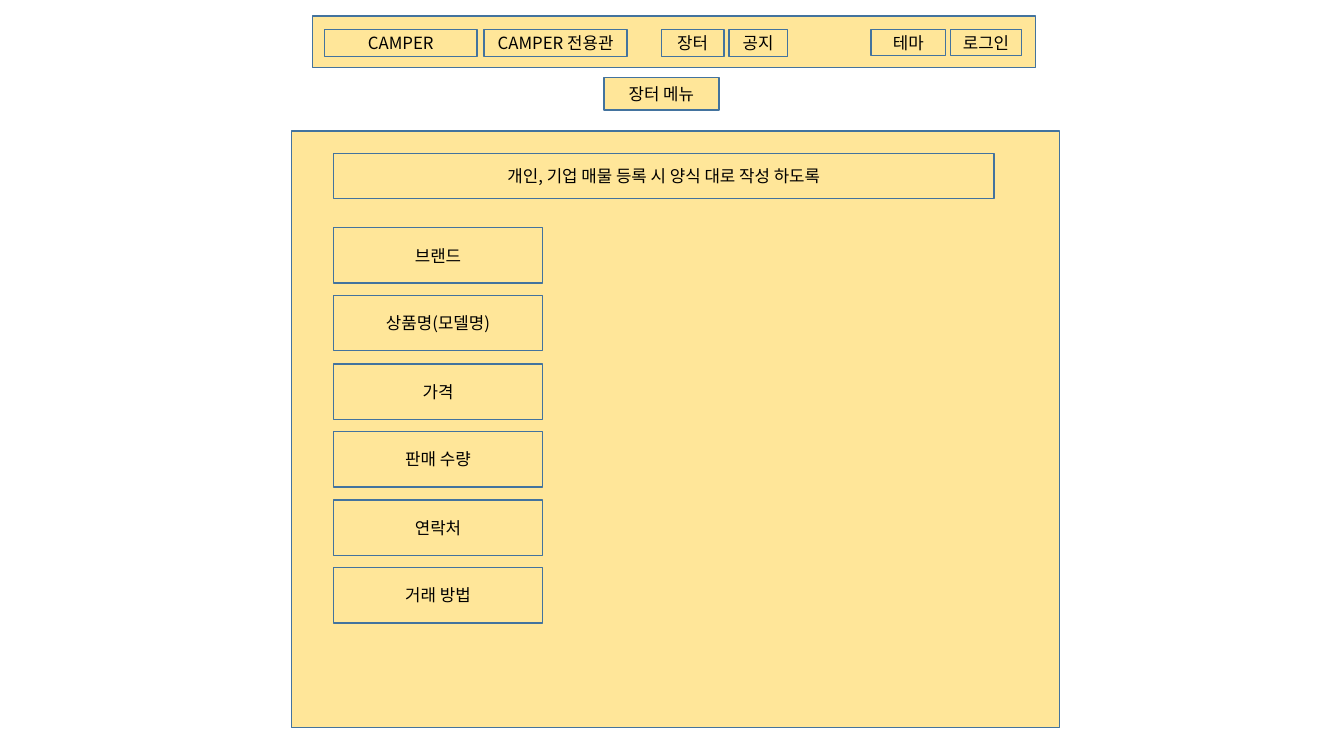
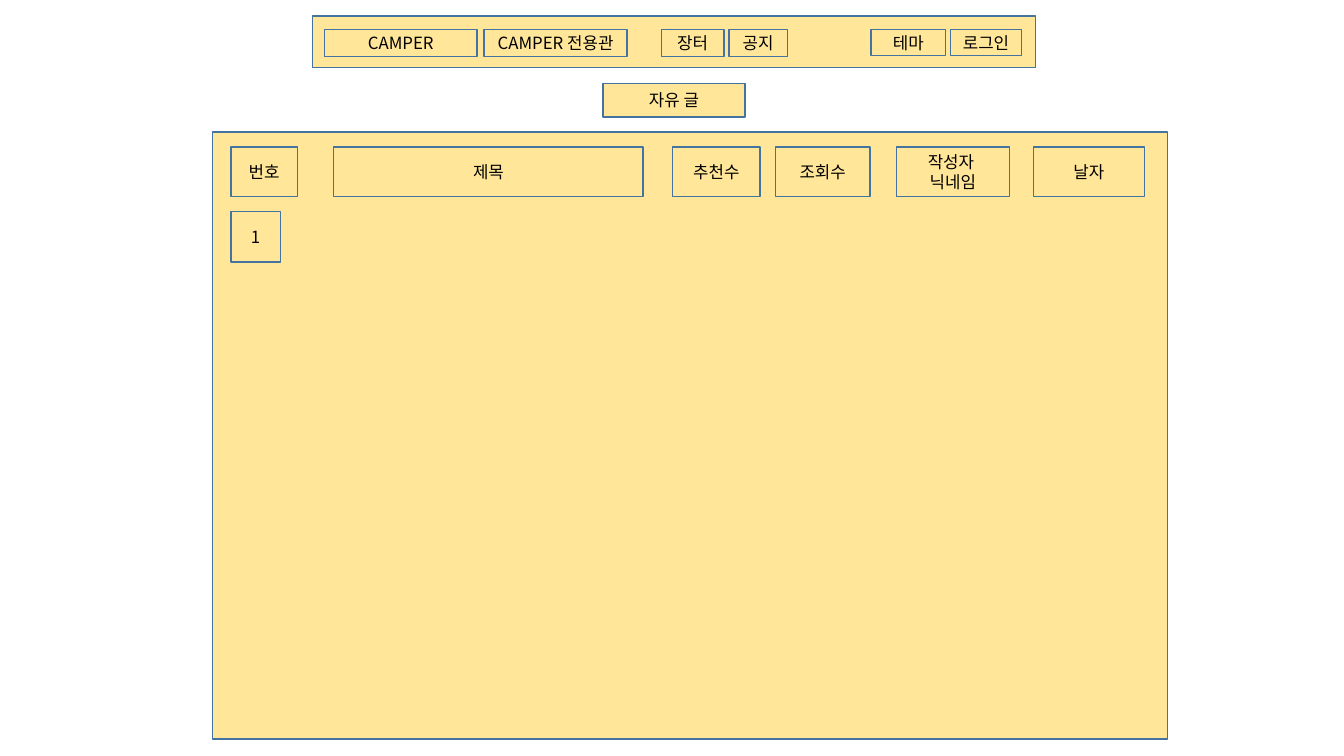
from lxml import etree
from pptx import Presentation
from pptx.dml.color import RGBColor
from pptx.enum.shapes import MSO_SHAPE
from pptx.enum.text import MSO_ANCHOR, MSO_AUTO_SIZE, PP_ALIGN
from pptx.oxml.ns import qn
from pptx.util import Pt

PX = 9144  # EMU per px, 100 px to the inch
SLIDE_WIDTH, SLIDE_HEIGHT = 1333, 750

CREAM = RGBColor(0xFF, 0xE6, 0x99)
BLUE = RGBColor(0x43, 0x73, 0x9E)
BLACK = RGBColor(0x00, 0x00, 0x00)
FONT = "Noto Sans CJK KR"

RECTANGLE = MSO_SHAPE.RECTANGLE
CENTER = PP_ALIGN.CENTER
MIDDLE = MSO_ANCHOR.MIDDLE
NO_AUTOFIT = MSO_AUTO_SIZE.NONE
TITLE_ONLY = 5

NAV_BOX = (310, 16, 717, 51)
NAV_ITEMS = [  # label, left, width, height
    ("CAMPER", 12, 151, 27),
    ("CAMPER 전용관", 170, 142, 27),
    ("장터", 346, 62, 27),
    ("공지", 413, 58, 27),
    ("테마", 554, 74, 26),
    ("로그인", 633, 70, 26),
]
FORM_FIELDS = ["브랜드", "상품명(모델명)", "가격", "판매 수량", "연락처", "거래 방법"]
FIELD_PITCH = 67.4
BOARD_COLUMNS = [  # heading lines, left, width
    (["번호"], 18, 66),
    (["제목"], 120, 307),
    (["추천수"], 456, 87),
    (["조회수"], 558, 94),
    (["작성자 ", "닉네임"], 678, 112),
    (["날자"], 814, 110),
]


def paint(shape):
    shape.fill.solid()
    shape.fill.fore_color.rgb = CREAM
    shape.line.color.rgb = BLUE
    shape.line.width = Pt(1)


def write(shape, lines):
    frame = shape.text_frame
    frame.word_wrap = True
    frame.auto_size = NO_AUTOFIT
    frame.vertical_anchor = MIDDLE
    frame.margin_left = frame.margin_right = 0
    for index, line in enumerate(lines):
        paragraph = frame.add_paragraph() if index else frame.paragraphs[0]
        paragraph.alignment = CENTER
        run = paragraph.add_run()
        run.text = line
        run.font.size = Pt(12)
        run.font.name = FONT
        run.font.color.rgb = BLACK
        east_asian = etree.SubElement(run.font._element, qn("a:ea"))
        east_asian.set("typeface", FONT)


def add_box(slide, left, top, width, height, lines=()):
    box = slide.shapes.add_shape(
        RECTANGLE, left * PX, top * PX, width * PX, height * PX)
    box.shadow.inherit = False
    paint(box)
    write(box, lines)


def add_title(slide, box, text):
    title = slide.shapes.title
    title.left, title.top, title.width, title.height = (n * PX for n in box)
    paint(title)
    write(title, [text])


def add_navigation(slide, box):
    left, top, _, _ = box
    add_box(slide, *box)
    for label, x, width, height in NAV_ITEMS:
        add_box(slide, left + x, top + 13, width, height, [label])


def add_listing_form(slide, box):
    left, top, _, _ = box
    add_box(slide, *box)
    add_box(slide, left + 42, top + 22, 655, 45,
            ["개인, 기업 매물 등록 시 양식 대로 작성 하도록"])
    for row, field in enumerate(FORM_FIELDS):
        field_top = top + 96 + round(row * FIELD_PITCH)
        add_box(slide, left + 42, field_top, 207, 55, [field])


def add_post_board(slide, box):
    left, top, _, _ = box
    add_box(slide, *box)
    for heading, x, width in BOARD_COLUMNS:
        add_box(slide, left + x, top + 15, width, 49, heading)
    add_box(slide, left + 18, top + 79, 49, 50, ["1"])


def add_page(deck, title, title_box, add_content, content_box):
    slide = deck.slides.add_slide(deck.slide_layouts[TITLE_ONLY])
    add_title(slide, title_box, title)
    add_content(slide, content_box)
    add_navigation(slide, NAV_BOX)


def main():
    deck = Presentation()
    deck.slide_width = SLIDE_WIDTH * PX
    deck.slide_height = SLIDE_HEIGHT * PX
    add_page(deck, "장터 메뉴", (599, 77, 114, 32),
             add_listing_form, (289, 130, 762, 592))
    add_page(deck, "자유 글", (598, 83, 141, 33),
             add_post_board, (211, 131, 947, 602))
    deck.save("out.pptx")


if __name__ == "__main__":
    main()
